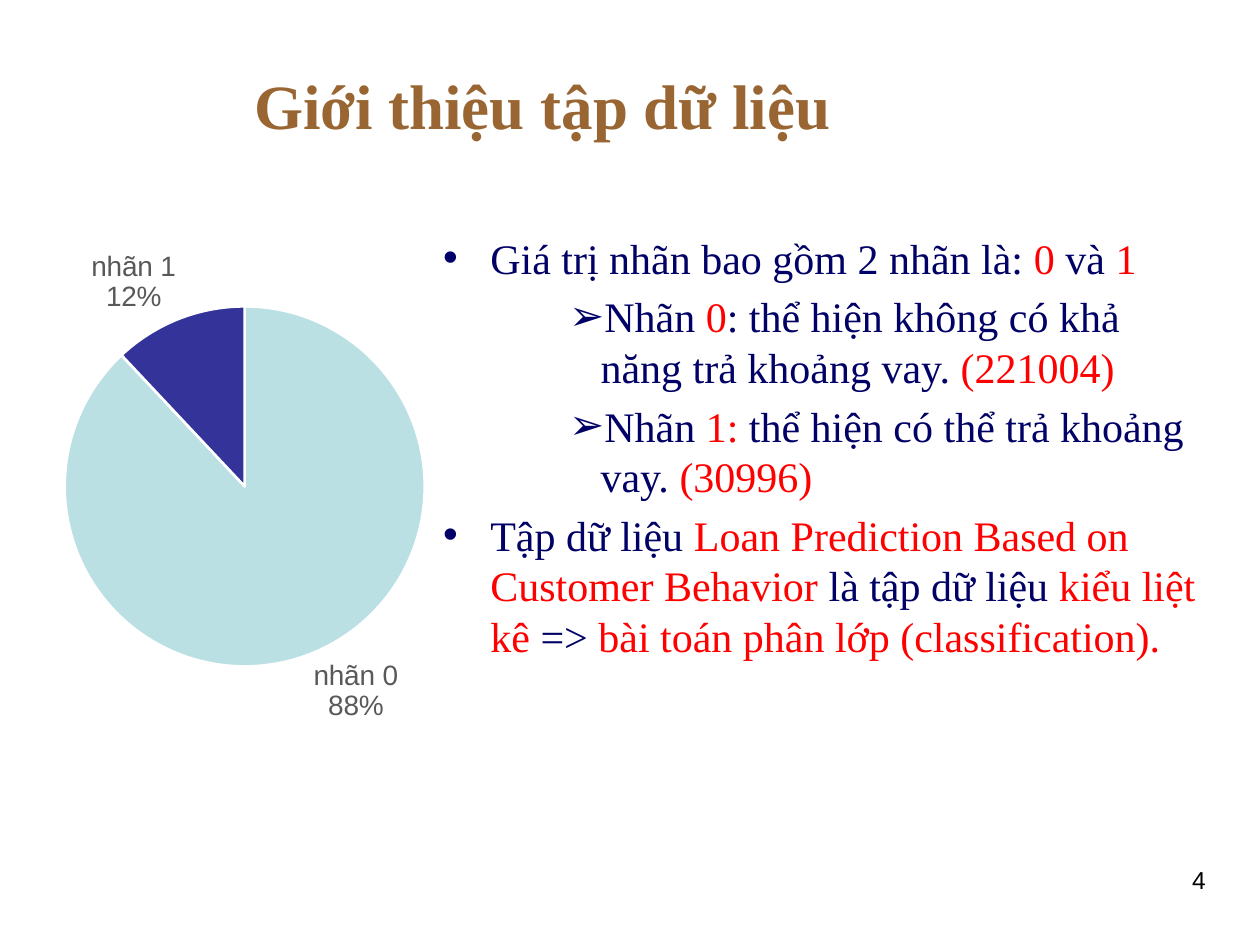
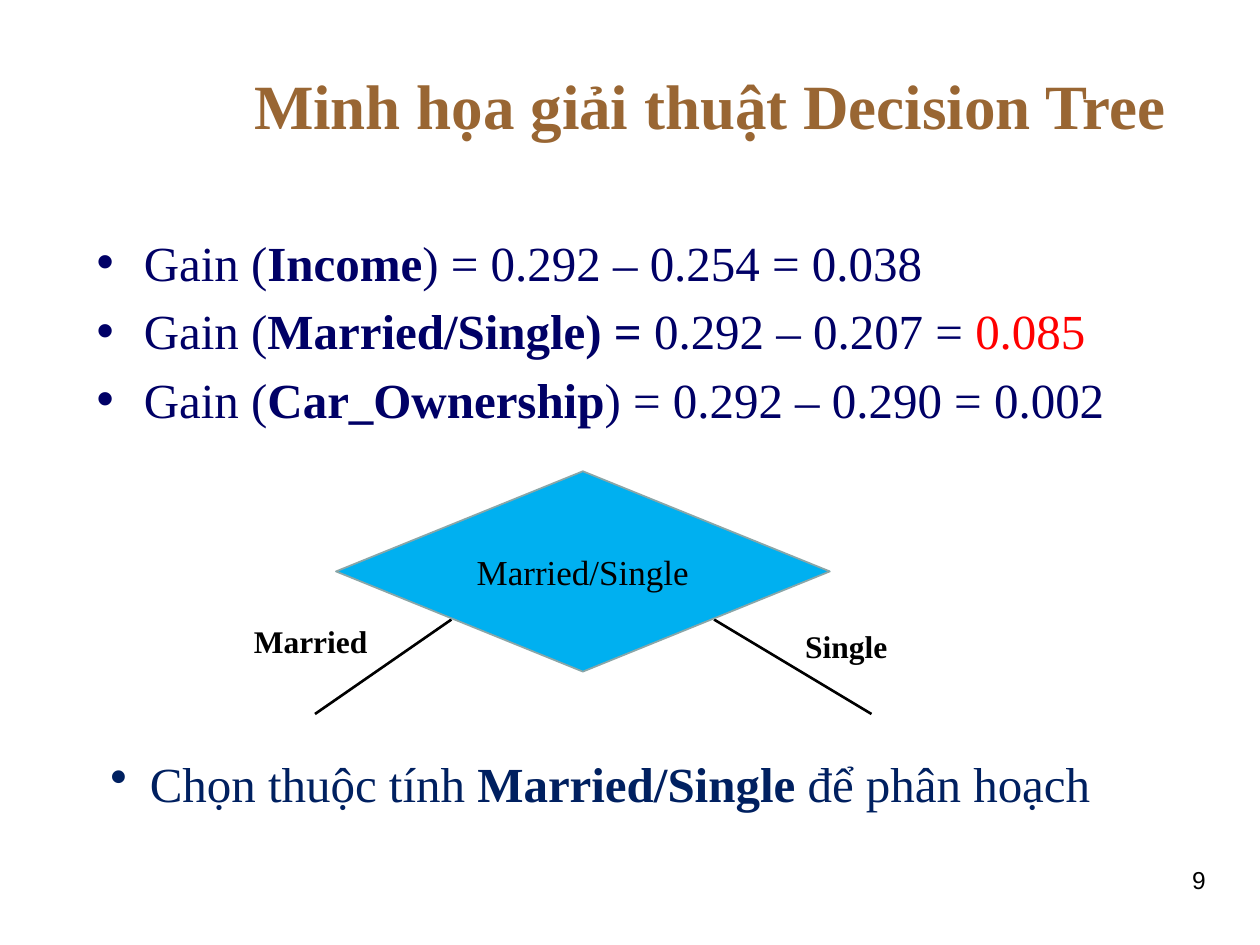
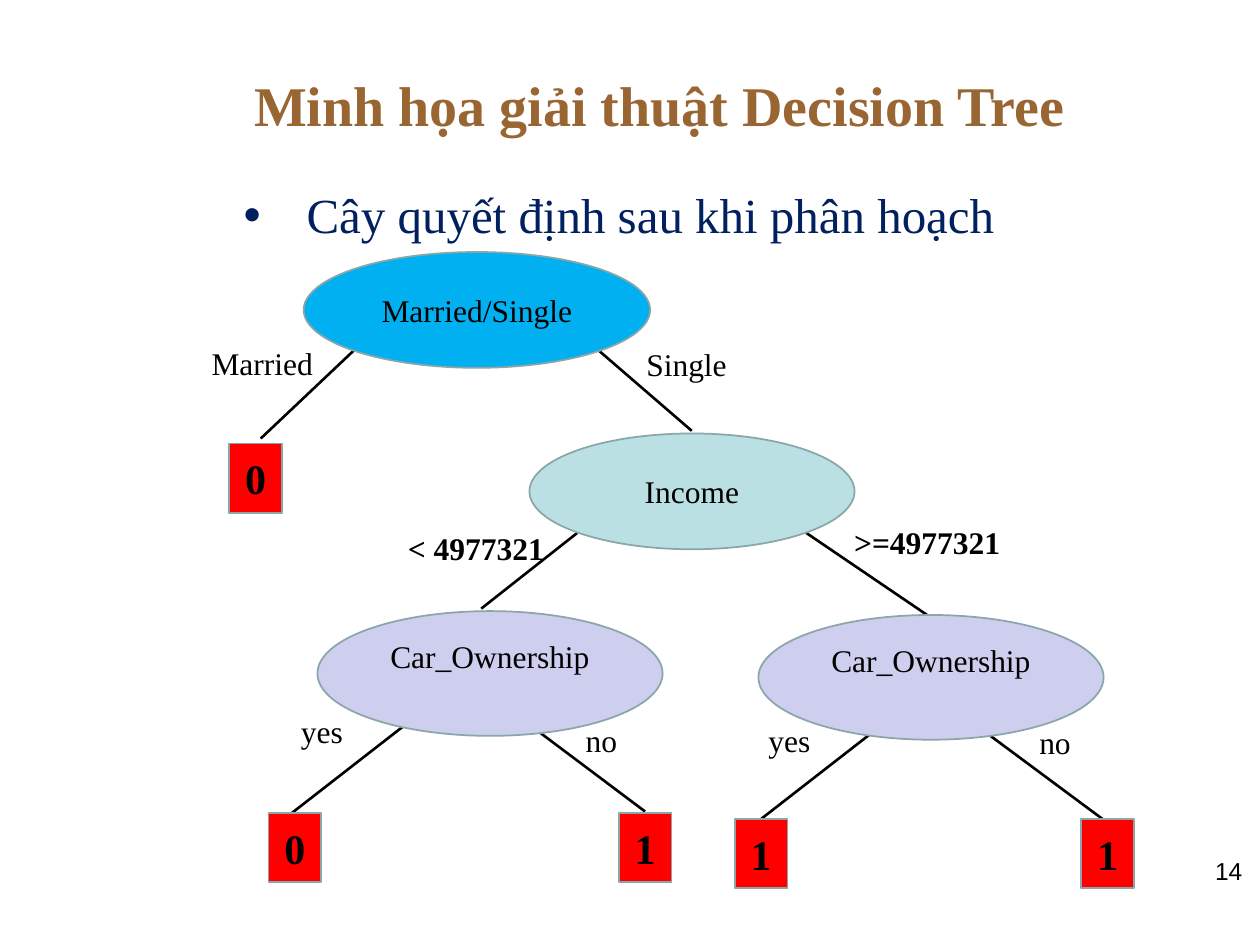
"""Build three slides on a loan data set and its decision tree."""
from lxml import etree
from pptx import Presentation
from pptx.chart.data import CategoryChartData
from pptx.dml.color import RGBColor
from pptx.enum.chart import XL_CHART_TYPE as CT, XL_LABEL_POSITION as LP
from pptx.enum.shapes import MSO_CONNECTOR as MC, MSO_SHAPE as SH
from pptx.enum.text import MSO_ANCHOR as MA, MSO_AUTO_SIZE as AS, PP_ALIGN as AL
from pptx.oxml import parse_xml
from pptx.oxml.ns import qn
from pptx.util import Pt

COLORS = {
    "brown": "996633", "navy": "000066", "ink": "002060", "red": "FF0000",
    "black": "000000", "gray": "595959", "white": "FFFFFF", "edge": "8AA6A8",
    "sky": "00B0F0", "mint": "BBE0E3", "lilac": "CECEEF", "indigo": "333399",
}
RGB = {name: RGBColor.from_string(value) for name, value in COLORS.items()}
BULLETS = {
    "dot": ("•", 27, -27, 0), "arrow": ("➢", 90, -18, 2),
    "note": ("•", 22.5, -22.5, 0), "wide": ("•", 36, -36, 0),
}
SERIF = "Times New Roman"
CHART_NS = "http://schemas.openxmlformats.org/drawingml/2006/chart"


def write(tf, paras, size, color="black", align=AL.LEFT, before=None, name=SERIF, bold=False):
    """Fill a text frame with (bullet, runs) pairs; a run is text or (text, mark)."""
    tf.word_wrap = True
    for i, (bullet, runs) in enumerate(paras):
        p = tf.add_paragraph() if i else tf.paragraphs[0]
        p.alignment = align
        if before is not None:
            p.space_before = Pt(before)
        if bullet:
            char, left, indent, p.level = BULLETS[bullet]
            pPr = p._p.get_or_add_pPr()
            pPr.set("marL", str(Pt(left)))
            pPr.set("indent", str(Pt(indent)))
            etree.SubElement(pPr, qn("a:buChar")).set("char", char)
        for run in runs:
            text, mark = (run, "") if isinstance(run, str) else run
            r = p.add_run()
            r.text = text
            fmt = {"name": name, "size": Pt(size), "bold": bold or mark == "bold"}
            for key, value in fmt.items():
                setattr(r.font, key, value)
            r.font.color.rgb = RGB["red" if mark == "red" else color]


def place(sp, left, top, width, height):
    """Set the position and size of a placeholder in points."""
    box = {"left": left, "top": top, "width": width, "height": height}
    for key, value in box.items():
        setattr(sp, key, Pt(value))
    sp.text_frame.auto_size = AS.NONE


SLIDES = [
    {
        "title": "Giới thiệu tập dữ liệu", "title_size": 36,
        "number": "4", "number_at": (528, 490.5),
        "body_at": (246, 129, 450, 351), "body": {"size": 24, "color": "navy"},
        "list": [
            ("dot", ["Giá trị nhãn bao gồm 2 nhãn là: ", ("0 ", "red"), "và ", ("1", "red")]),
            ("arrow", ["Nhãn ", ("0", "red"), ": thể hiện không có khả năng trả khoảng vay. ",
                       ("(221004)", "red")]),
            ("arrow", ["Nhãn ", ("1: ", "red"), "thể hiện có thể trả khoảng vay. ",
                       ("(30996)", "red")]),
            ("dot", ["Tập dữ liệu ", ("Loan Prediction Based on Customer Behavior ", "red"),
                     "là tập dữ liệu ", ("kiểu liệt kê ", "red"), "=> ",
                     ("bài toán phân lớp (classification).", "red")]),
        ],
        "edges": [], "labels": [], "nodes": [],
    },
    {
        "title": "Minh họa giải thuật Decision Tree", "title_size": 36,
        "number": "9", "number_at": (528, 490.5),
        "body_at": (48, 129, 648, 369), "body": {"size": 28, "color": "navy"},
        "list": [
            ("dot", ["Gain (", ("Income", "bold"), ") = 0.292 – 0.254 = 0.038"]),
            ("dot", ["Gain (", ("Married/Single) = ", "bold"), "0.292 – 0.207 = ",
                     ("0.085", "red")]),
            ("dot", ["Gain (", ("Car_Ownership", "bold"), ") = 0.292 – 0.290 = 0.002"]),
        ],
        "edges": [(258, 354, 180, 408), (408, 354, 498, 408)],
        "labels": [(("Married", "bold"), 138, 352, 94.5), (("Single", "bold"), 453, 355, 114)],
        "nodes": [("Married/Single", SH.FLOWCHART_DECISION, "sky", 20,
                   (192, 269.3, 282.2, 114.5))],
    },
    {
        "title": "Minh họa giải thuật Decision Tree", "title_size": 32,
        "number": "14", "number_at": (549, 485.5),
        "body_at": (132, 102, 448, 41), "body": {"size": 28, "color": "ink", "before": 0},
        "list": [("wide", ["Cây quyết định sau khi phân hoạch"])],
        "edges": [
            (202.3, 200.2, 149, 250.6), (342, 200.2, 395.3, 246.2),
            (329.8, 304.6, 275, 347.8), (460.8, 304.6, 530.6, 352),
            (231.8, 414, 167, 464.4), (302.4, 414, 368.6, 463.7),
            (499.7, 417.6, 434.9, 468), (563, 418.3, 630, 468),
        ],
        "labels": [
            ("Married", 113.8, 193, 84.2), ("Single", 362.2, 193.7, 63.4),
            (("< 4977321", "bold"), 226, 298.8, 92.9),
            ((">=4977321", "bold"), 481, 295.2, 98.6),
            ("yes", 164.9, 403.2, 44.6), ("no", 327.6, 408.2, 36),
            ("yes", 432, 408.2, 42.5), ("no", 586.8, 409.7, 36),
        ],
        "nodes": [
            ("Married/Single", SH.OVAL, "sky", 18, (173.5, 144, 198, 66.2)),
            ("Income", SH.OVAL, "mint", 18, (302.5, 247.7, 185.8, 66.2)),
            ("Car_Ownership", SH.OVAL, "lilac", 18, (181.4, 349.2, 197.3, 71.3)),
            ("Car_Ownership", SH.OVAL, "lilac", 18, (433.4, 351.4, 197.3, 71.3)),
        ] + [
            (leaf, SH.RECTANGLE, "red", 24, (left, top, 30.2, 39.6))
            for leaf, left, top in [("0", 131, 253.4), ("0", 153.4, 464.4), ("1", 353.5, 464.4),
                                    ("1", 419.8, 468), ("1", 617.8, 468)]
        ],
    },
]

prs = Presentation()
prs.slide_width, prs.slide_height = Pt(720), Pt(540)

for data in SLIDES:
    s = prs.slides.add_slide(prs.slide_layouts[1])
    title, body = s.placeholders
    place(title, 138, 22.5, 558, 74)
    title.text_frame.vertical_anchor = MA.MIDDLE
    write(title.text_frame, [(None, [data["title"]])], data["title_size"], "brown", bold=True)
    place(body, *data["body_at"])
    write(body.text_frame, data["list"], **data["body"])

    number = s.shapes.add_textbox(*map(Pt, data["number_at"] + (168, 44)))
    write(number.text_frame, [(None, [data["number"]])], 14, align=AL.RIGHT, name="Arial")

    for ends in data["edges"]:
        edge = s.shapes.add_connector(MC.STRAIGHT, *map(Pt, ends))
        edge.line.color.rgb = RGB["black"]
        edge.line.width = Pt(1.5)
        etree.SubElement(edge._element.spPr, qn("a:effectLst"))

    for run, left, top, width in data["labels"]:
        tf = s.shapes.add_textbox(Pt(left), Pt(top), Pt(width), Pt(29)).text_frame
        write(tf, [(None, [run])], 18)
        tf.word_wrap = "4977321" not in run[0]
        tf.auto_size = AS.SHAPE_TO_FIT_TEXT

    for text, kind, fill, size, at in data["nodes"]:
        sp = s.shapes.add_shape(kind, *map(Pt, at))
        sp.shadow.inherit = False
        sp.fill.solid()
        sp.fill.fore_color.rgb = RGB[fill]
        sp.line.color.rgb = RGB["edge"]
        sp.line.width = Pt(1)
        tf = sp.text_frame
        tf.vertical_anchor = MA.MIDDLE
        write(tf, [(None, [text])], size, align=AL.CENTER, bold=kind == SH.RECTANGLE)
        if fill == "lilac":
            tf.margin_bottom = Pt(24)

intro, gain, tree = prs.slides

tf = gain.shapes.add_textbox(Pt(56), Pt(427), Pt(616), Pt(41)).text_frame
choice = ["Chọn thuộc tính ", ("Married/Single ", "bold"), "để phân hoạch"]
write(tf, [("note", choice)], 28, "ink")
tf.auto_size = AS.SHAPE_TO_FIT_TEXT

cd = CategoryChartData()
cd.categories = ["nhãn 0", "nhãn 1"]
cd.add_series("Series 1", (88, 12))
chart = intro.shapes.add_chart(CT.PIE, Pt(-50), Pt(131), Pt(376), Pt(294), cd).chart
chart.has_legend = chart.has_title = False
chart.font.name, chart.font.size = "Arial", Pt(10)
plot = chart.plots[0]
plot.vary_by_categories = True
for i, color in enumerate(["mint", "indigo"]):
    point = plot.series[0].points[i].format
    point.fill.solid()
    point.fill.fore_color.rgb = RGB[color]
    point.line.color.rgb = RGB["white"]
    point.line.width = Pt(1.5)
plot.has_data_labels = True
labels = plot.data_labels
label_format = {
    "show_value": False, "show_percentage": True, "show_category_name": True,
    "number_format": "0%", "number_format_is_linked": False, "position": LP.OUTSIDE_END,
}
for key, value in label_format.items():
    setattr(labels, key, value)
labels.font.name, labels.font.size = "Arial", Pt(16)
labels.font.color.rgb = RGB["gray"]
separator = etree.Element(qn("c:separator"))
separator.text = "\n"
labels._element.find(qn("c:showBubbleSize")).addnext(separator) if labels._element.find(
    qn("c:showBubbleSize")) is not None else labels._element.find(
    qn("c:showPercent")).addnext(separator)

area = chart._chartSpace.find(".//" + qn("c:plotArea"))
for old in area.findall(qn("c:layout")):
    area.remove(old)
frame = {"xMode": "edge", "yMode": "edge", "x": 0.23, "y": 0.15, "w": 0.55, "h": 0.7}
area.insert(0, parse_xml(
    f'<c:layout xmlns:c="{CHART_NS}"><c:manualLayout><c:layoutTarget val="inner"/>'
    + "".join(f'<c:{key} val="{value}"/>' for key, value in frame.items())
    + "</c:manualLayout></c:layout>"))

prs.save("out.pptx")
